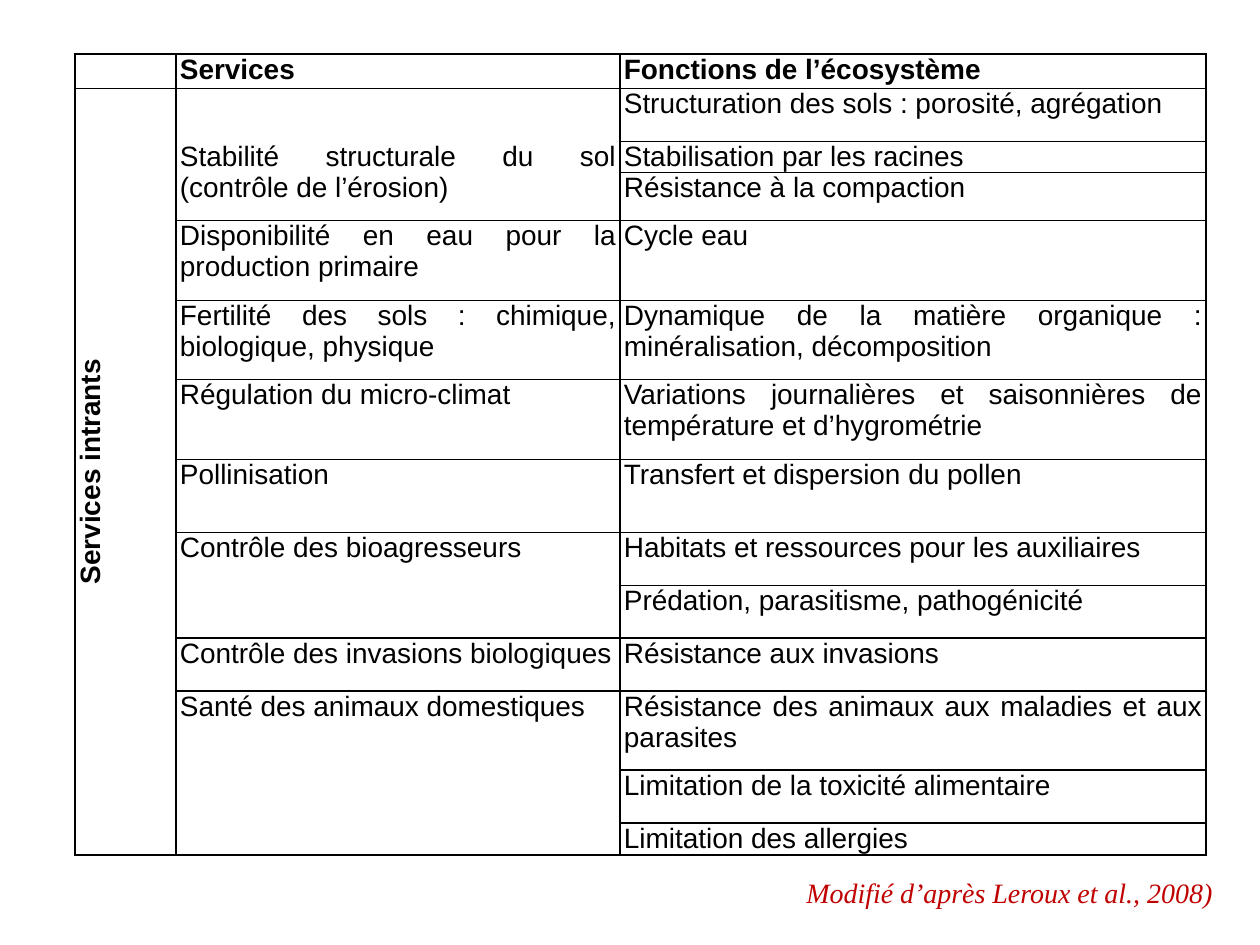
from dataclasses import dataclass

from lxml.etree import SubElement
from pptx import Presentation
from pptx.dml.color import RGBColor
from pptx.enum.text import PP_ALIGN
from pptx.oxml.ns import qn
from pptx.util import Emu, Pt


@dataclass(frozen=True)
class Theme:
    ink: str = "000000"
    accent: str = "C00000"
    body_font: str = "Arial"
    source_font: str = "Times New Roman"
    size: int = 16
    rule: float = 1
    closing_rule: float = 1.5


THEME = Theme()

HEADINGS = ["", "Services", "Fonctions de l’écosystème"]
CATEGORY = "Services intrants"
# Each service with the ecosystem functions behind it
SERVICES = [
    ("Stabilité structurale du sol (contrôle de l’érosion)",
     ["Structuration des sols : porosité, agrégation",
      "Stabilisation par les racines",
      "Résistance à la compaction"]),
    ("Disponibilité en eau pour la production primaire", ["Cycle eau"]),
    ("Fertilité des sols : chimique, biologique, physique",
     ["Dynamique de la matière organique : minéralisation, décomposition"]),
    ("Régulation du micro-climat",
     ["Variations journalières et saisonnières de température et d’hygrométrie"]),
    ("Pollinisation", ["Transfert et dispersion du pollen"]),
    ("Contrôle des bioagresseurs",
     ["Habitats et ressources pour les auxiliaires",
      "Prédation, parasitisme, pathogénicité"]),
    ("Contrôle des invasions biologiques", ["Résistance aux invasions"]),
    ("Santé des animaux domestiques",
     ["Résistance des animaux aux maladies et aux parasites",
      "Limitation de la toxicité alimentaire",
      "Limitation des allergies"]),
]
COLUMN_WIDTHS = [101, 444, 586]
ROW_HEIGHTS = [31, 53, 31, 48, 80, 79, 80, 73, 53, 53, 53, 79, 53, 32]


def px(length):
    return Emu(round(length * 914400 / 126))


def apply(target, **values):
    for name, value in values.items():
        setattr(target, name, value)


def write(paragraph, text, align, color, **font):
    paragraph.alignment = align
    run = paragraph.add_run()
    run.text = text
    apply(run.font, size=Pt(THEME.size), **font)
    run.font.color.rgb = RGBColor.from_string(color)


def fill_cell(cell, text, bold=False, align=PP_ALIGN.JUSTIFY):
    write(cell.text_frame.paragraphs[0], text, align, THEME.ink,
          name=THEME.body_font, bold=bold)


def prepare_cell(cell):
    """Clear the fill, tighten the margins and size the empty paragraph."""
    cell.fill.background()
    apply(cell, margin_left=px(4), margin_right=px(4), margin_top=0, margin_bottom=0)
    end = SubElement(cell.text_frame.paragraphs[0]._p, qn("a:endParaRPr"))
    end.set("sz", str(THEME.size * 100))


def rule_cell(cell, is_last_row):
    """Draw the borders; a merged-away cell has no inner horizontal rules."""
    widths = {"lnL": THEME.rule, "lnR": THEME.rule}
    if not cell.is_spanned:
        widths.update(lnT=THEME.rule, lnB=THEME.rule)
    if is_last_row or cell.is_merge_origin and cell.span_height > 3:
        widths["lnB"] = THEME.closing_rule
    properties = cell._tc.get_or_add_tcPr()
    for position, (tag, width) in enumerate(widths.items()):
        line = SubElement(properties, qn(f"a:{tag}"), w=str(int(Pt(width))))
        fill = SubElement(line, qn("a:solidFill"))
        SubElement(fill, qn("a:srgbClr"), val=THEME.ink)
        properties.insert(position, line)


def add_services_table(slide):
    table = slide.shapes.add_table(
        len(ROW_HEIGHTS), len(COLUMN_WIDTHS), px(75), px(54),
        px(sum(COLUMN_WIDTHS)), px(sum(ROW_HEIGHTS))).table
    apply(table, first_row=False, horz_banding=False)
    for column, width in zip(table.columns, COLUMN_WIDTHS):
        column.width = px(width)
    for row, height in zip(table.rows, ROW_HEIGHTS):
        row.height = px(height)
    for cell in table.iter_cells():
        prepare_cell(cell)

    # Header row
    for column, heading in enumerate(HEADINGS):
        if heading:
            fill_cell(table.cell(0, column), heading, bold=True)

    # Category, reading upwards along all services
    last = len(ROW_HEIGHTS) - 1
    category = table.cell(1, 0)
    category.merge(table.cell(last, 0))
    fill_cell(category, CATEGORY, bold=True, align=PP_ALIGN.CENTER)
    category._tc.get_or_add_tcPr().set("vert", "vert270")

    # Services, each merged over its functions
    first = 1
    for service, functions in SERVICES:
        service_cell = table.cell(first, 1)
        if len(functions) > 1:
            service_cell.merge(table.cell(first + len(functions) - 1, 1))
        fill_cell(service_cell, service)
        for row, function in enumerate(functions, first):
            fill_cell(table.cell(row, 2), function)
        first += len(functions)
    # The first service starts level with its second function
    table.cell(1, 1).margin_top = px(ROW_HEIGHTS[1])

    # Borders
    for row in range(last + 1):
        for column in range(len(COLUMN_WIDTHS)):
            rule_cell(table.cell(row, column), row == last)


def add_source(slide, text):
    frame = slide.shapes.add_textbox(px(689), px(869), px(536), px(47)).text_frame
    frame.word_wrap = True
    write(frame.paragraphs[0], text, PP_ALIGN.RIGHT, THEME.accent,
          name=THEME.source_font, italic=True)


def main():
    deck = Presentation()
    apply(deck, slide_width=px(1260), slide_height=px(945))
    slide = deck.slides.add_slide(deck.slide_layouts[6])
    add_services_table(slide)
    add_source(slide, "Modifié d’après Leroux et al., 2008)")
    deck.save("out.pptx")


if __name__ == "__main__":
    main()
